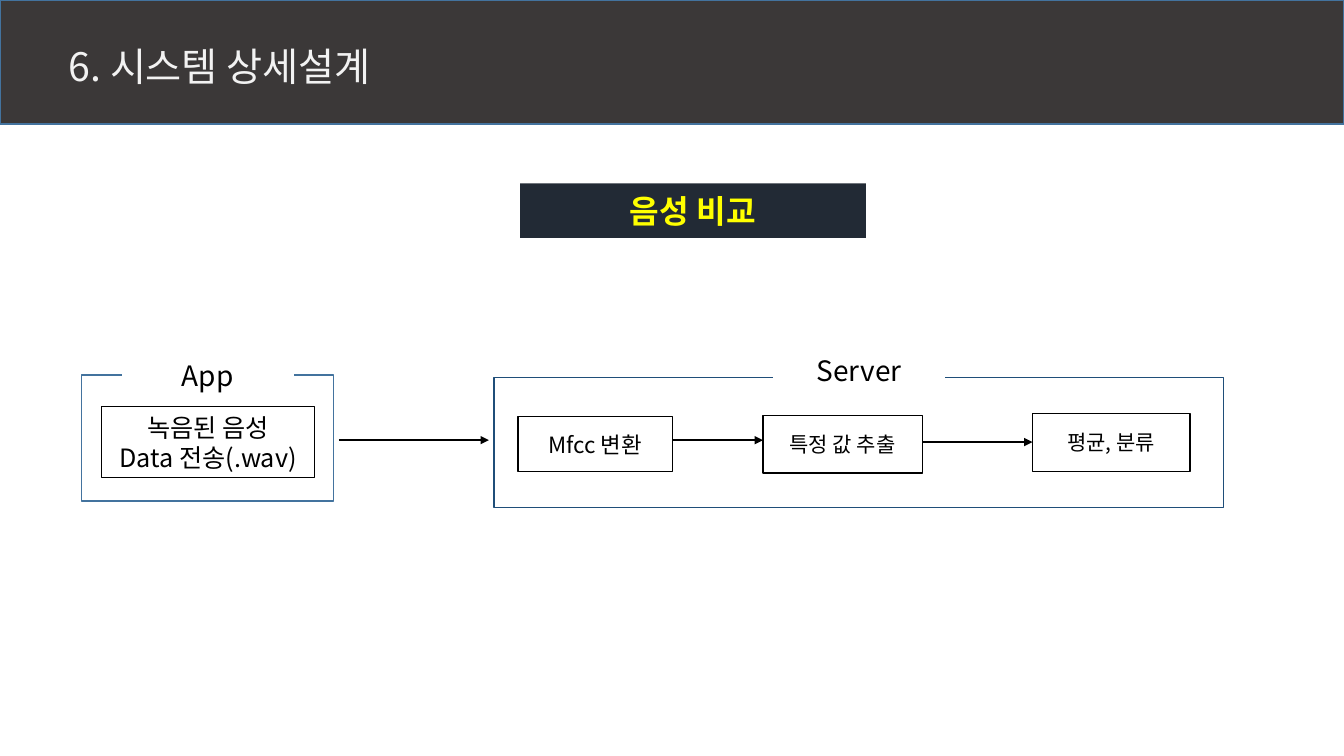
"""Build the system design slide that shows the voice comparison flow."""
from dataclasses import dataclass

from lxml.etree import SubElement
from pptx import Presentation
from pptx.dml.color import RGBColor
from pptx.enum.shapes import MSO_CONNECTOR, MSO_SHAPE
from pptx.enum.text import MSO_ANCHOR, PP_ALIGN
from pptx.oxml.ns import qn
from pptx.util import Pt


@dataclass(frozen=True)
class Theme:
    font: str = "Noto Sans CJK KR"
    band: str = "3B3838"
    band_line: str = "43739E"
    server_line: str = "1F4E79"
    banner: str = "222A35"
    title_text: str = "F2F2F2"
    banner_text: str = "FFFF00"
    ink: str = "000000"
    paper: str = "FFFFFF"
    title_size: float = 28
    banner_size: float = 23
    label_size: float = 20
    data_size: float = 18


THEME = Theme()
SLIDE_SIZE = (960, 540)
TITLE = ("6. 시스템 상세설계", (41.8, 22.3, 413.3, 45.4))
BANNER = ("음성 비교", (371.5, 131, 247, 39))
GROUPS = [
    ("App", (58.3, 267.8, 180, 90), (87.5, 248.4), THEME.band_line),
    ("Server", (352.8, 269.8, 521.3, 92.9), (552.6, 244.9), THEME.server_line),
]
LABEL_SIZE = (122, 39)
RECORDING = (["녹음된 음성", "Data 전송(.wav)"], (72.5, 290.5, 152.2, 50.8))
STEPS = [
    ("Mfcc 변환", (370, 297.7, 110.4, 39), 16),
    ("특정 값 추출", (545, 296.6, 113.8, 41.2), 15),
    ("평균, 분류", (737.5, 295.5, 112.6, 41.2), 15),
]
SEND_ARROW = (242, 349.2, 314.4)
STEP_ARROW_LEVELS = [314.4, 315.8]


def color(value):
    return RGBColor.from_string(value)


def style(para, size, ink, bold=False):
    para.font.name = THEME.font
    para.font.size = Pt(size)
    para.font.bold = bold
    para.font.color.rgb = color(ink)
    defaults = para._p.pPr.find(qn("a:defRPr"))
    SubElement(defaults, qn("a:ea"), typeface=THEME.font)


def add_box(page, bounds, fill=None, line=None, width=1):
    box = page.shapes.add_shape(MSO_SHAPE.RECTANGLE, *map(Pt, bounds))
    box.shadow.inherit = False
    if fill:
        box.fill.solid()
        box.fill.fore_color.rgb = color(fill)
    else:
        box.fill.background()
    if line:
        box.line.color.rgb = color(line)
        box.line.width = Pt(width)
    else:
        box.line.fill.background()
    return box


def write(box, lines, size, ink=THEME.ink, bold=False):
    frame = box.text_frame
    frame.text = "\n".join(lines)
    frame.vertical_anchor = MSO_ANCHOR.MIDDLE
    for para in frame.paragraphs:
        para.alignment = PP_ALIGN.CENTER
        style(para, size, ink, bold)


def add_arrow(page, start, end, level):
    arrow = page.shapes.add_connector(
        MSO_CONNECTOR.STRAIGHT, Pt(start), Pt(level), Pt(end), Pt(level))
    arrow.line.color.rgb = color(THEME.ink)
    arrow.line.width = Pt(1.5)
    SubElement(arrow.line._get_or_add_ln(), qn("a:tailEnd"), type="triangle")
    SubElement(arrow.element.spPr, qn("a:effectLst"))


def add_title(page):
    add_box(page, (0, 0, SLIDE_SIZE[0], 88.5), THEME.band, THEME.band_line)
    text, bounds = TITLE
    title = page.shapes.title
    page.shapes.element.append(title.element)
    title.left, title.top, title.width, title.height = map(Pt, bounds)
    title.text_frame.text = text
    title.text_frame.vertical_anchor = MSO_ANCHOR.BOTTOM
    para = title.text_frame.paragraphs[0]
    para.alignment = PP_ALIGN.LEFT
    para.line_spacing = 0.9
    style(para, THEME.title_size, THEME.title_text)


def add_flow(page):
    for name, bounds, corner, line in GROUPS:
        add_box(page, bounds, THEME.paper, line)
        label = add_box(page, corner + LABEL_SIZE, THEME.paper, THEME.paper)
        write(label, [name], THEME.label_size)
    lines, bounds = RECORDING
    write(add_box(page, bounds, line=THEME.ink, width=0.75), lines, THEME.data_size)
    for text, bounds, size in STEPS:
        write(add_box(page, bounds, line=THEME.ink), [text], size)
    add_arrow(page, *SEND_ARROW)
    for before, after, level in zip(STEPS, STEPS[1:], STEP_ARROW_LEVELS):
        left, _, width, _ = before[1]
        add_arrow(page, left + width, after[1][0], level)


def main():
    deck = Presentation()
    deck.slide_width, deck.slide_height = map(Pt, SLIDE_SIZE)
    page = deck.slides.add_slide(deck.slide_layouts[5])
    add_title(page)
    text, bounds = BANNER
    banner = add_box(page, bounds, THEME.banner)
    write(banner, [text], THEME.banner_size, THEME.banner_text, True)
    add_flow(page)
    deck.save("out.pptx")


if __name__ == "__main__":
    main()
